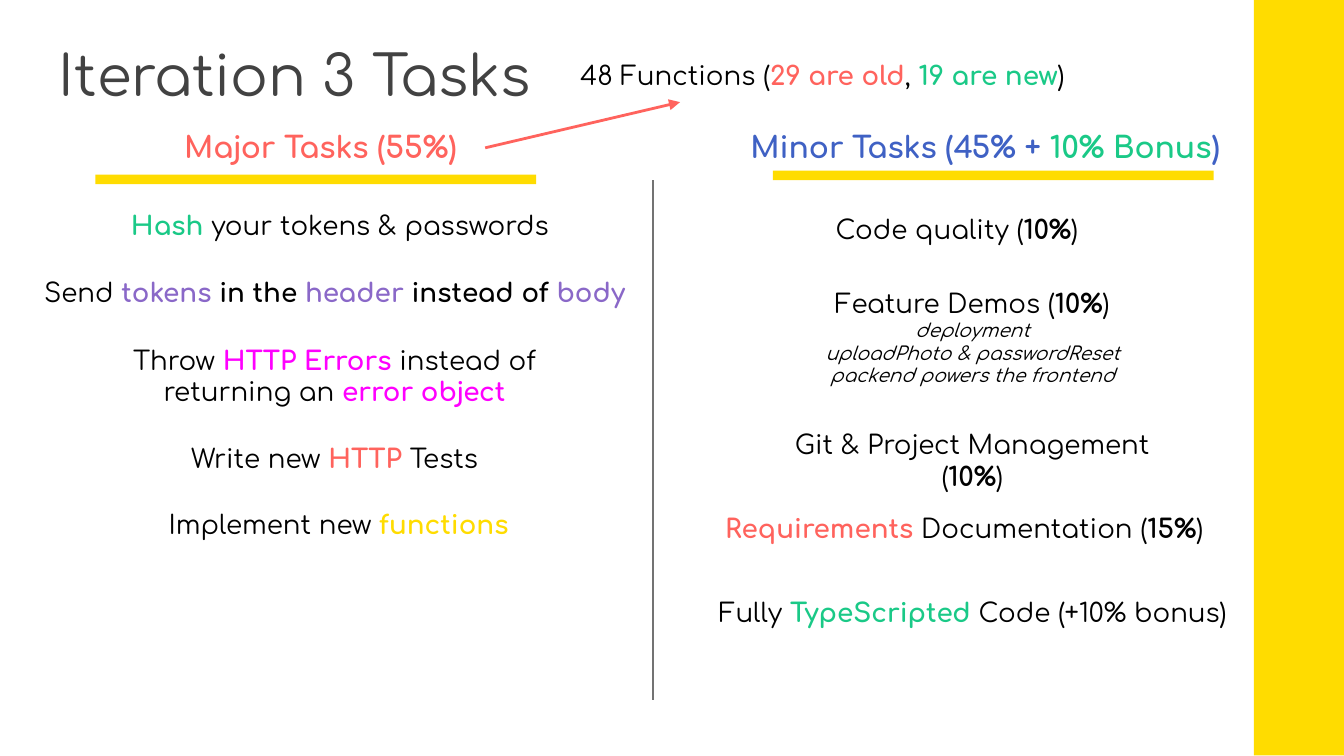
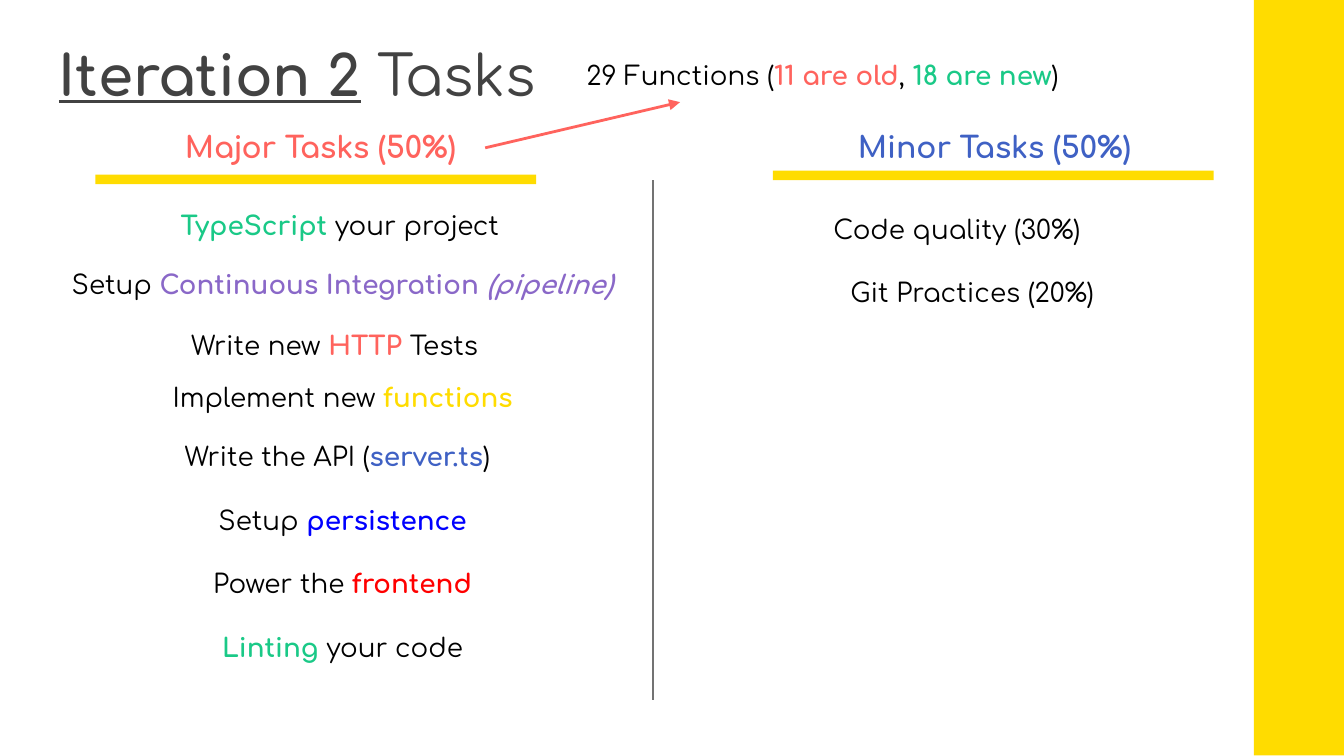
from lxml.etree import SubElement
from pptx import Presentation
from pptx.dml.color import RGBColor
from pptx.enum.shapes import MSO_CONNECTOR, MSO_SHAPE
from pptx.enum.text import MSO_ANCHOR, MSO_AUTO_SIZE, PP_ALIGN
from pptx.oxml.ns import qn
from pptx.util import Emu, Pt

EMU_PER_PX = 9144
FONT = "Comfortaa"
BLACK, DARK, GREY = "000000", "424242", "737373"
YELLOW, CORAL, GREEN, BLUE = "FFDC00", "FF635D", "1AC987", "3F61C4"
PURPLE, MAGENTA, PURE_BLUE, PURE_RED = "8A68C8", "FF00FF", "0000FF", "FF0000"
LEFT_W, RIGHT_W, ROW_H = 404, 335, 43


def px(n):
    """Turn px (100 to the inch) into EMU."""
    return Emu(n * EMU_PER_PX)


def rgb(color):
    """Turn a hex string into a colour."""
    return RGBColor.from_string(color)


def add_runs(p, runs, size, color=BLACK, align=PP_ALIGN.CENTER):
    """Fill a paragraph; a str run is plain, a (text, colour) run is bold."""
    p.alignment = align
    p.font.name, p.font.size = FONT, Pt(size)
    p.font.color.rgb = rgb(color)
    for run in runs:
        r = p.add_run()
        if isinstance(run, str):
            r.text = run
        else:
            r.text = run[0]
            r.font.bold = True
            r.font.color.rgb = rgb(run[1])


def add_text(s, x, y, w, h, *runs, size=14):
    """Add a centred text box and return its text frame."""
    tf = s.shapes.add_textbox(px(x), px(y), px(w), px(h)).text_frame
    tf.word_wrap = True
    tf.auto_size = MSO_AUTO_SIZE.SHAPE_TO_FIT_TEXT
    tf.margin_left = tf.margin_right = tf.margin_top = tf.margin_bottom = px(10)
    add_runs(tf.paragraphs[0], runs, size)
    return tf


def add_bar(s, x, y, w, h):
    """Add a plain yellow bar."""
    sp = s.shapes.add_shape(MSO_SHAPE.RECTANGLE, px(x), px(y), px(w), px(h))
    sp.shadow.inherit = False
    sp.fill.solid()
    sp.fill.fore_color.rgb = rgb(YELLOW)
    sp.line.fill.background()


def add_line(s, x1, y1, x2, y2, color, width):
    """Add a straight line without shadow and return it."""
    ln = s.shapes.add_connector(MSO_CONNECTOR.STRAIGHT, px(x1), px(y1), px(x2), px(y2))
    ln.line.color.rgb = rgb(color)
    ln.line.width = Pt(width)
    SubElement(ln._element.spPr, qn("a:effectLst"))
    return ln


def add_title(s, *runs):
    """Add the slide title, anchored at the bottom, and return its paragraph."""
    tf = add_text(s, 34, 10, 932, 80)
    tf.auto_size = MSO_AUTO_SIZE.NONE
    tf.vertical_anchor = MSO_ANCHOR.BOTTOM
    add_runs(tf.paragraphs[0], runs, 30, DARK, PP_ALIGN.LEFT)
    return tf.paragraphs[0]


def add_frame(prs, major, total, old, new):
    """Start a slide with the band, column heads, divider and function count."""
    s = prs.slides.add_slide(prs.slide_layouts[6])
    add_bar(s, 933, 0, 67, 562)
    add_text(s, 47, 86, 383, 47, (f"Major Tasks ({major}%)", CORAL), size=16)
    add_line(s, 486, 134, 486, 521, GREY, 0.75)
    add_text(s, 410, 34, 404, ROW_H, f"{total} Functions (", (f"{old} are old", CORAL),
             ", ", (f"{new} are new", GREEN), ")")
    add_bar(s, 71, 130, 328, 7)
    add_bar(s, 575, 127, 328, 7)
    arrow = add_line(s, 361, 110, 506, 76, CORAL, 1.5)
    SubElement(arrow._element.spPr.find(qn("a:ln")), qn("a:tailEnd"), type="triangle")
    return s


def add_major_tasks(s, tasks):
    """Add left-column tasks given as (x, y, runs)."""
    for x, y, runs in tasks:
        add_text(s, x, y, LEFT_W, ROW_H, *runs)


def build_iteration_3(prs):
    """Build the Iteration 3 slide."""
    s = add_frame(prs, 55, 48, 29, 19)
    add_title(s, "Iteration 3 Tasks")
    add_text(s, 521, 86, 424, 47, ("Minor Tasks (45% + ", BLUE), ("10% Bonus", GREEN),
             (")", BLUE), size=16)
    add_major_tasks(s, [
        (51, 146, [("Hash ", GREEN), "your tokens & passwords"]),
        (47, 319, ["Write new ", ("HTTP ", CORAL), "Tests"]),
        (50, 368, ["Implement new ", ("functions", YELLOW)]),
    ])
    add_text(s, 7, 196, 484, ROW_H, "Send ", ("tokens ", PURPLE), ("in the", BLACK),
             (" header ", PURPLE), ("instead of", BLACK), (" body", PURPLE))
    add_text(s, 47, 246, LEFT_W, 67, "Throw ", ("HTTP Errors", MAGENTA),
             " instead of returning an ", ("error object", MAGENTA))
    add_text(s, 486, 149, 452, ROW_H, "Code quality (", ("10%", BLACK), ")")
    tf = add_text(s, 556, 204, RIGHT_W, 93, "Feature Demos (", ("10%", BLACK), ")")
    for demo in ("deployment", "uploadPhoto & passwordReset", "packend powers the frontend"):
        p = tf.add_paragraph()
        add_runs(p, [demo], 10)
        p.font.italic = True
    add_text(s, 556, 309, RIGHT_W, 83, "Git & Project Management (", ("10%", BLACK), ")")
    add_text(s, 526, 371, 383, 60, ("Requirements ", CORAL), "Documentation (",
             ("15%", BLACK), ")")
    add_text(s, 517, 434, 414, 60, "Fully ", ("TypeScripted ", GREEN), "Code (+10% bonus)")


def build_iteration_2(prs):
    """Build the Iteration 2 slide."""
    s = add_frame(prs, 50, 29, 11, 18)
    p = add_title(s, ("Iteration 2", DARK), " Tasks")
    p.runs[0].font.underline = True
    add_text(s, 611, 86, 258, 47, ("Minor Tasks (50%)", BLUE), size=16)
    add_major_tasks(s, [
        (51, 146, [("TypeScript ", GREEN), "your project"]),
        (47, 235, ["Write new ", ("HTTP ", CORAL), "Tests"]),
        (53, 274, ["Implement new ", ("functions", YELLOW)]),
        (49, 318, ["Write the API (", ("server.ts", BLUE), ")"]),
        (53, 365, ["Setup ", ("persistence", PURE_BLUE)]),
        (53, 412, ["Power the ", ("frontend", PURE_RED)]),
        (53, 460, [("Linting ", GREEN), "your code"]),
    ])
    tf = add_text(s, 31, 190, 447, ROW_H, "Setup ", ("Continuous Integration ", PURPLE),
                  ("(pipeline)", PURPLE))
    tf.paragraphs[0].runs[-1].font.italic = True
    add_text(s, 486, 149, 452, ROW_H, "Code quality (30%)")
    add_text(s, 556, 196, RIGHT_W, ROW_H, "Git Practices (20%)")


def main():
    """Build and save the deck."""
    prs = Presentation()
    prs.slide_width = px(1000)
    prs.slide_height = Emu(prs.slide_width * 9 // 16)
    build_iteration_3(prs)
    build_iteration_2(prs)
    prs.save("out.pptx")


if __name__ == "__main__":
    main()
